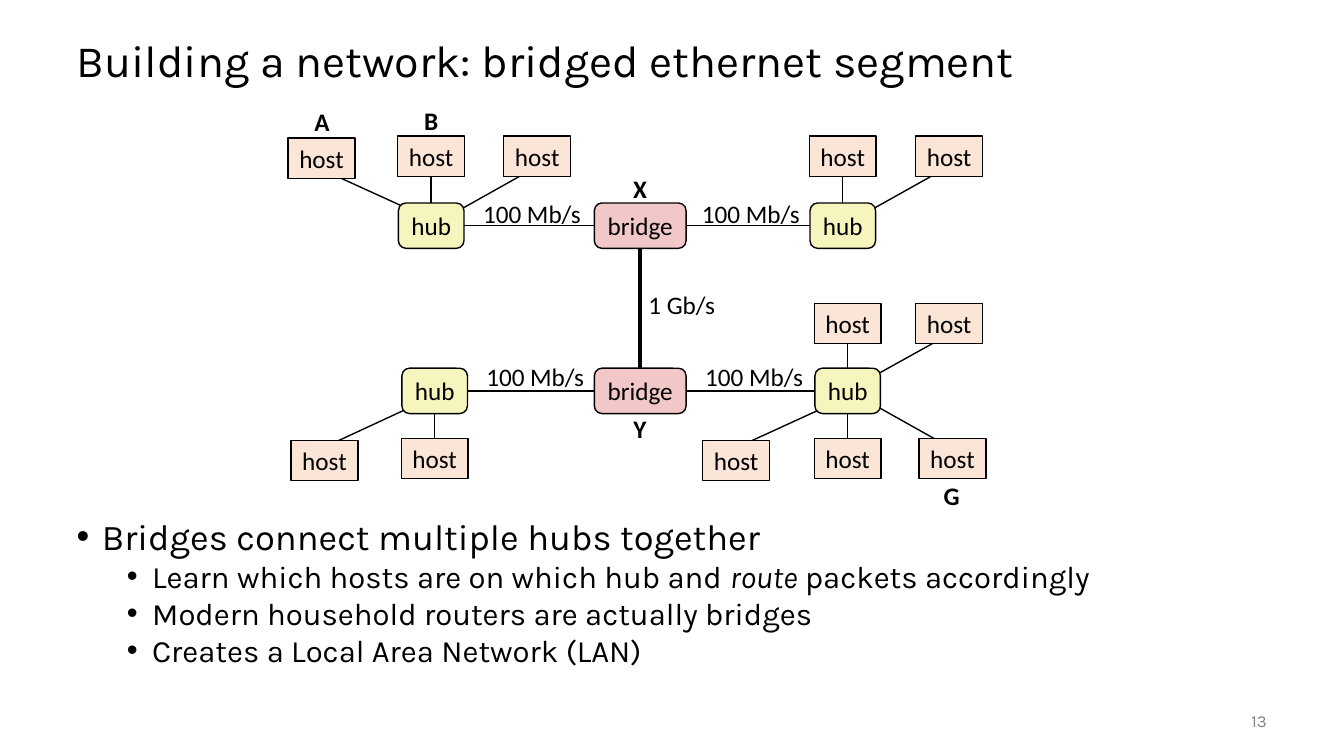
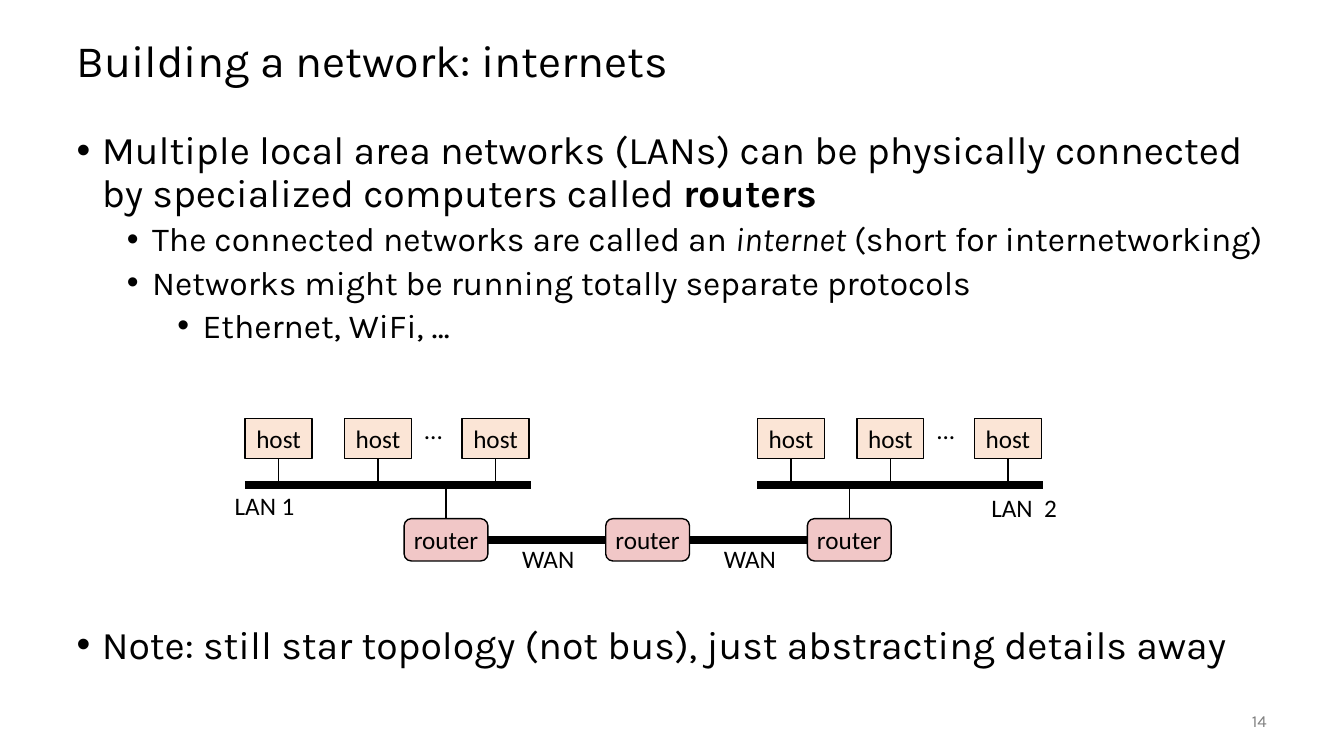
import pptx
import pptx.util
import pptx.dml.color
import pptx.enum.shapes
import pptx.enum.text
import pptx.oxml.ns
from lxml import etree

Pt = pptx.util.Pt
RGBColor = pptx.dml.color.RGBColor
SHAPES = pptx.enum.shapes.MSO_SHAPE
ALIGN = pptx.enum.text.PP_ALIGN
ANCHOR = pptx.enum.text.MSO_ANCHOR
TOP, LEFT, BOTTOM, RIGHT = range(4)

BLACK = RGBColor(0x00, 0x00, 0x00)
GRAY = RGBColor(0x80, 0x80, 0x80)
PEACH = RGBColor(0xFB, 0xE5, 0xD6)
YELLOW = RGBColor(0xF6, 0xF5, 0xBD)
PINK = RGBColor(0xF1, 0xC7, 0xC7)

TITLE_BOX = (47.5, 18, 864, 54)
NUMBER_BOX = (840, 500.4, 72, 28.8)
LABEL_WIDTH, LABEL_HEIGHT = 86, 28.8
TITLE_FONT = {"name": "Karla", "size": Pt(32)}
NUMBER_FONT = {"name": "Karla", "size": Pt(12)}
DIAGRAM_FONT = {"name": "Calibri", "size": Pt(18)}
BOLD_FONT = {**DIAGRAM_FONT, "bold": True}

NODE_KINDS = {
    "host": (SHAPES.RECTANGLE, 47.8, 28.8, PEACH),
    "hub": (SHAPES.ROUNDED_RECTANGLE, 46.8, 32.4, YELLOW),
    "bridge": (SHAPES.ROUNDED_RECTANGLE, 65.5, 32.4, PINK),
    "router": (SHAPES.ROUNDED_RECTANGLE, 59.8, 30.2, PINK),
}

BRIDGE_SLIDE = {
    "title": "Building a network: bridged ethernet segment",
    "number": "13",
    "body_box": (47.5, 370, 864, 116),
    "line_spacing": 0.8,
    "sizes": (25.9, 22.2),
    "bullets": [
        (0, 0, [("Bridges connect multiple hubs together", {})]),
        (1, 5, [("Learn which hosts are on which hub and ", {}),
                ("route", {"italic": True}),
                (" packets accordingly", {})]),
        (1, 5, [("Modern household routers are actually bridges", {})]),
        (1, 5, [("Creates a Local Area Network (LAN)", {})]),
    ],
}
BRIDGE_NODES = {
    "A": ("host", 229.7, 98.6),
    "B": ("host", 308, 97.2),
    "C": ("host", 383.8, 97.2),
    "D": ("host", 602, 97.2),
    "E": ("host", 678, 97.2),
    "north west": ("hub", 308, 145),
    "X": ("bridge", 457.3, 145),
    "north east": ("hub", 602, 145),
    "F": ("host", 605.5, 216.7),
    "H": ("host", 678, 216.7),
    "south west": ("hub", 310.5, 263),
    "Y": ("bridge", 457.3, 263),
    "south east": ("hub", 605.5, 263),
    "I": ("host", 231.8, 314.6),
    "J": ("host", 310.5, 313.2),
    "K": ("host", 525.8, 314.6),
    "L": ("host", 605.5, 313.2),
    "G": ("host", 680.4, 313.2),
}
SPOKES = [
    (229.7, 121, 296, 151.2), (380, 121, 326.2, 151.2), (674, 121, 620, 151.2),
    (674, 241, 620, 271),
    (298, 288.7, 232.6, 319), (594, 288.7, 527.8, 319), (623.5, 288.7, 677.5, 319),
]
LINKS = [
    ("B", BOTTOM, "north west", TOP, 1),
    ("D", BOTTOM, "north east", TOP, 1),
    ("F", BOTTOM, "south east", TOP, 1),
    ("south west", BOTTOM, "J", TOP, 1),
    ("south east", BOTTOM, "L", TOP, 1),
    ("north west", RIGHT, "X", LEFT, 1),
    ("X", RIGHT, "north east", LEFT, 1),
    ("south west", RIGHT, "Y", LEFT, 1),
    ("Y", RIGHT, "south east", LEFT, 1),
    ("X", BOTTOM, "Y", TOP, 3),
]
SPEEDS = [
    ("100 Mb/s", 380, 138.2), ("100 Mb/s", 536.4, 138.2), ("1 Gb/s", 487, 203),
    ("100 Mb/s", 382.3, 254.2), ("100 Mb/s", 538.6, 254.2),
]
LETTERS = [
    ("A", 230, 72), ("B", 308, 71.3), ("X", 457.2, 120.2),
    ("Y", 457.2, 291.6), ("G", 679.7, 339.8),
]

INTERNET_SLIDE = {
    "title": "Building a network: internets",
    "number": "14",
    "body_box": (47.5, 90, 864, 396),
    "line_spacing": 0.9,
    "sizes": (28, 24, 24),
    "bullets": [
        (0, 0, [("Multiple local area networks (LANs) can be physically connected "
                 "by specialized computers called ", {}),
                ("routers", {"bold": True})]),
        (1, 5, [("The connected networks are called an ", {}),
                ("internet", {"italic": True}),
                (" (short for internetworking)", {})]),
        (1, 5, [("Networks might be running totally separate protocols", {})]),
        (2, 5, [("Ethernet, WiFi, …", {})]),
        (0, 200, [("Note: still star topology (not bus), "
                   "just abstracting details away", {})]),
    ],
}
LAN_LEFTS = (175, 541)
LAN_HOST_OFFSETS = (24, 95, 179)
LAN_LABELS = [("LAN 1", 189, 347), ("LAN  2", 731.5, 347.8)]
BUS_TOP, BUS_LENGTH, LAN_HOST_TOP = 346.3, 204, 298.8
DOTS_OFFSET, DOTS_TOP = 134.6, 292.3
ROUTER_START, ROUTER_STEP, ROUTER_TOP = 318.6, 144, 370.5
WAN_OFFSET, WAN_TOP = 73, 384.5


def set_format(target, values):
    for name, value in values.items():
        setattr(target, name, value)


def add_run(paragraph, text, font, color=BLACK):
    run = paragraph.add_run()
    run.text = text
    set_format(run.font, font)
    run.font.color.rgb = color


def add_text(slide, text, box, font, align=ALIGN.CENTER, color=BLACK, wrap=False):
    shape = slide.shapes.add_textbox(*map(Pt, box))
    set_format(shape.text_frame, {"word_wrap": wrap, "vertical_anchor": ANCHOR.MIDDLE})
    paragraph = shape.text_frame.paragraphs[0]
    paragraph.alignment = align
    add_run(paragraph, text, font, color)


def add_label(slide, text, center, top, font=DIAGRAM_FONT):
    box = (center - LABEL_WIDTH / 2, top, LABEL_WIDTH, LABEL_HEIGHT)
    add_text(slide, text, box, font)


def add_node(slide, kind, center, top):
    preset, width, height, fill = NODE_KINDS[kind]
    shape = slide.shapes.add_shape(
        preset, Pt(center - width / 2), Pt(top), Pt(width), Pt(height))
    shape.shadow.inherit = False
    shape.fill.solid()
    shape.fill.fore_color.rgb = fill
    shape.line.color.rgb = BLACK
    shape.line.width = Pt(1)
    set_format(shape.text_frame, {"word_wrap": False, "vertical_anchor": ANCHOR.MIDDLE})
    paragraph = shape.text_frame.paragraphs[0]
    paragraph.alignment = ALIGN.CENTER
    add_run(paragraph, kind, DIAGRAM_FONT)
    return shape


def add_line(slide, points, width=1, begin=None, end=None):
    connector = slide.shapes.add_connector(
        pptx.enum.shapes.MSO_CONNECTOR.STRAIGHT, *map(Pt, points))
    connector.line.color.rgb = BLACK
    connector.line.width = Pt(width)
    properties = connector._element.spPr
    etree.SubElement(properties, pptx.oxml.ns.qn("a:effectLst"))
    if begin:
        connector.begin_connect(*begin)
    if end:
        connector.end_connect(*end)


def place(shape, box):
    set_format(shape, dict(zip(("left", "top", "width", "height"), map(Pt, box))))


def add_bullet(paragraph, level, line_spacing, space_before):
    paragraph.level = level
    set_format(paragraph, {"line_spacing": line_spacing, "alignment": ALIGN.LEFT,
                           "space_before": Pt(space_before), "space_after": Pt(0)})
    properties = paragraph._p.get_or_add_pPr()
    properties.set("marL", str(int(Pt(18 + 36 * level))))
    properties.set("indent", str(int(Pt(-18))))
    font = etree.SubElement(properties, pptx.oxml.ns.qn("a:buFont"))
    font.set("typeface", "Arial")
    bullet = etree.SubElement(properties, pptx.oxml.ns.qn("a:buChar"))
    bullet.set("char", "•")


def add_slide(presentation, content):
    slide = presentation.slides.add_slide(presentation.slide_layouts[1])
    title, body = slide.placeholders
    place(title, TITLE_BOX)
    place(body, content["body_box"])
    for shape, anchor in ((title, ANCHOR.MIDDLE), (body, ANCHOR.TOP)):
        set_format(shape.text_frame, {
            "word_wrap": True, "vertical_anchor": anchor,
            "auto_size": pptx.enum.text.MSO_AUTO_SIZE.NONE})
    paragraph = title.text_frame.paragraphs[0]
    set_format(paragraph, {"alignment": ALIGN.LEFT, "line_spacing": 0.9})
    add_run(paragraph, content["title"], TITLE_FONT)
    for index, (level, space_before, runs) in enumerate(content["bullets"]):
        frame = body.text_frame
        paragraph = frame.add_paragraph() if index else frame.paragraphs[0]
        add_bullet(paragraph, level, content["line_spacing"], space_before)
        for text, emphasis in runs:
            size = Pt(content["sizes"][level])
            add_run(paragraph, text, {"name": "Karla", "size": size, **emphasis})
    add_text(slide, content["number"], NUMBER_BOX, NUMBER_FONT, ALIGN.RIGHT, GRAY, True)
    return slide


def draw_bridged_segment(slide):
    for spoke in SPOKES:
        add_line(slide, spoke)
    nodes = {name: add_node(slide, *node) for name, node in BRIDGE_NODES.items()}
    for first, first_side, second, second_side, width in LINKS:
        add_line(slide, (0, 0, 0, 0), width,
                 (nodes[first], first_side), (nodes[second], second_side))
    for speed in SPEEDS:
        add_label(slide, *speed)
    for letter in LETTERS:
        add_label(slide, *letter, BOLD_FONT)


def draw_internet(slide):
    for left in LAN_LEFTS:
        add_line(slide, (left, BUS_TOP, left + BUS_LENGTH, BUS_TOP), 6)
        for offset in LAN_HOST_OFFSETS:
            center = left + offset
            host = add_node(slide, "host", center, LAN_HOST_TOP)
            add_line(slide, (center, LAN_HOST_TOP, center, BUS_TOP), begin=(host, BOTTOM))
        add_label(slide, "...", left + DOTS_OFFSET, DOTS_TOP)
    centers = [ROUTER_START + ROUTER_STEP * index for index in range(3)]
    routers = [add_node(slide, "router", center, ROUTER_TOP) for center in centers]
    for index in (0, 2):
        center = centers[index]
        add_line(slide, (center, BUS_TOP, center, ROUTER_TOP), end=(routers[index], TOP))
    for center, router, neighbor in zip(centers, routers, routers[1:]):
        add_line(slide, (0, 0, 0, 0), 6, (router, RIGHT), (neighbor, LEFT))
        add_label(slide, "WAN", center + WAN_OFFSET, WAN_TOP)
    for label in LAN_LABELS:
        add_label(slide, *label)


def main():
    presentation = pptx.Presentation()
    presentation.slide_width = Pt(960)
    presentation.slide_height = Pt(540)
    draw_bridged_segment(add_slide(presentation, BRIDGE_SLIDE))
    draw_internet(add_slide(presentation, INTERNET_SLIDE))
    presentation.save("out.pptx")


if __name__ == "__main__":
    main()
